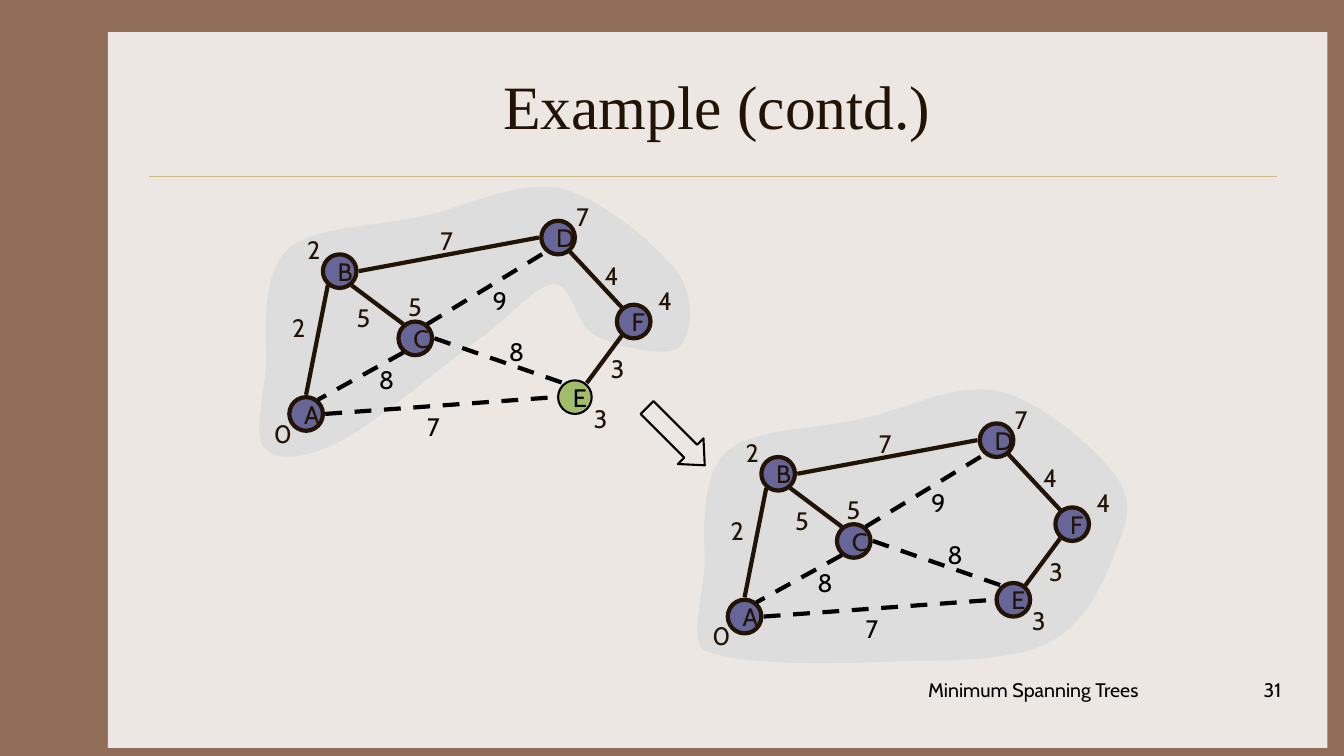
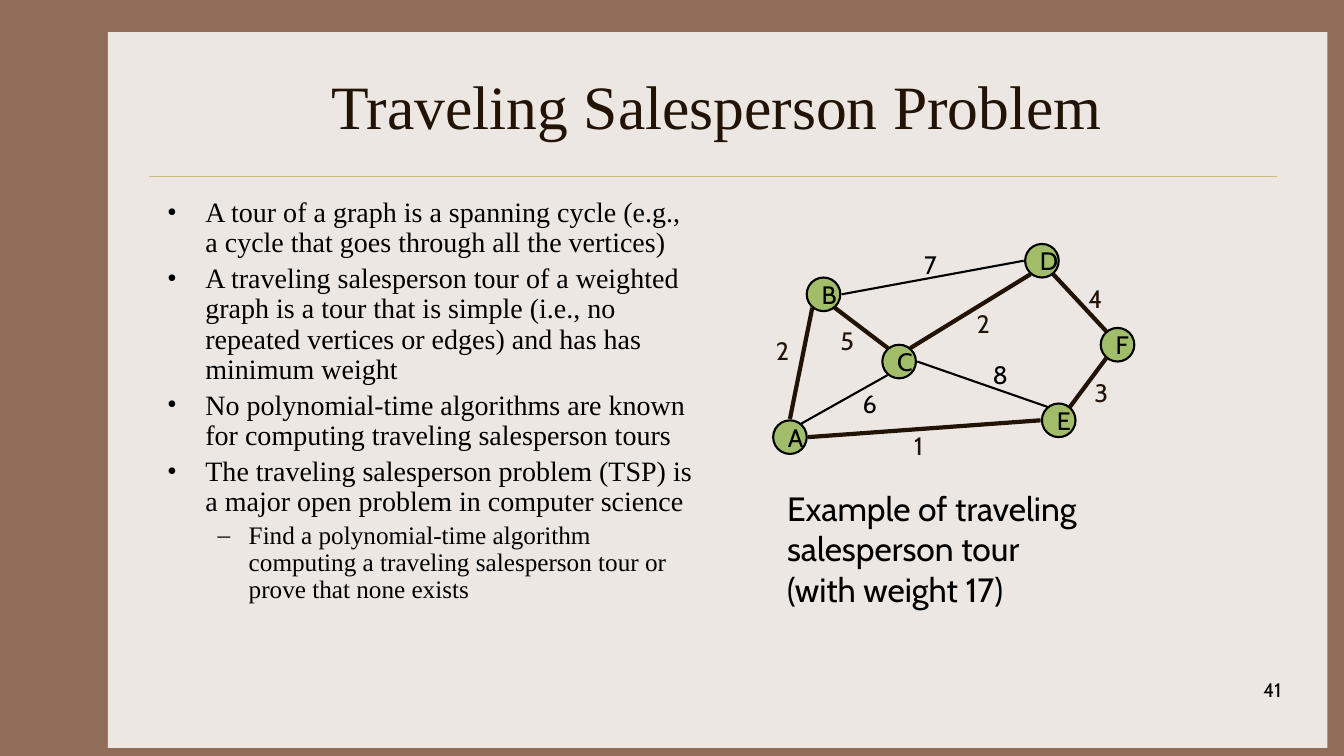
"""Builds two slides on minimum spanning trees and the traveling salesperson problem."""
import lxml.etree
import pptx
import pptx.dml.color
import pptx.enum.dml
import pptx.enum.shapes
import pptx.enum.text
import pptx.oxml.ns
import pptx.util

SERIF, SANS = "Times New Roman", "Cabin"
BROWN, BLACK, PANEL, BACKDROP = "221304", "000000", "EDE7E3", "906D58"
RULE, CLOUD, VIOLET, GREEN = "CBBD83", "DDDDDD", "666699", "A1BD69"

WIDTH, HEIGHT = 40 / 3, 7.5
NODE = 1 / 3
UNIT = NODE / 4
NODES = {"B": (4, 4), "D": (30, 0), "C": (13, 12), "A": (0, 21), "F": (39, 10), "E": (32, 19)}
SIDES = {"n": (0, -1), "nw": (-0.62, -0.74), "w": (-1, 0), "sw": (-0.62, 0.74),
         "se": (0.62, 0.74), "e": (1, 0), "ne": (0.62, -0.74)}
EDGES = {
    "BC": ("se", "nw", 0.57, 0.76),
    "CA": ("sw", "ne", 0.79, 1.38),
    "BA": ("sw", "n", -0.07, 0.86),
    "CE": ("e", "nw", 2.08, 1.1),
    "AE": ("e", "w", 1.27, 1.84),
    "BD": ("e", "w", 1.4, 0),
    "CD": ("ne", "sw", 1.92, 0.59),
    "FD": ("nw", "se", 3.03, 0.34),
    "EF": ("ne", "sw", 3.09, 1.27),
}
DISTANCES = {"A": ("0", -0.25, 1.91), "E": ("3", 2.92, 1.76), "B": ("2", 0.08, 0.09),
             "C": ("5", 1.08, 0.65), "F": ("4", 3.56, 0.59), "D": ("7", 2.75, -0.24)}

CLOUD_START = (-0.23, 1.33)
CLOUD_TOP = [
    ((3.65, 0.25), (3.1, -0.23), (2.68, -0.32)),
    ((2.26, -0.41), (1.75, -0.13), (1.3, -0.04)),
    ((0.86, 0.06), (0.25, 0.05), (-0.01, 0.28)),
    ((-0.26, 0.5), (-0.24, 1.05), CLOUD_START),
]
CLOUD_WITHOUT_E = [
    ((-0.22, 1.61), (-0.37, 2.1), (-0.25, 2.25)),
    ((-0.13, 2.39), (0.15, 2.37), (0.5, 2.19)),
    ((0.86, 2.01), (1.53, 1.43), (1.89, 1.17)),
    ((2.24, 0.91), (2.44, 0.64), (2.63, 0.63)),
    ((2.82, 0.63), (2.83, 1.04), (3.04, 1.14)),
    ((3.24, 1.25), (3.72, 1.36), (3.86, 1.26)),
    ((3.99, 1.15), (4.04, 0.77), (3.85, 0.51)),
]
CLOUD_WITH_E = [
    ((-0.22, 1.61), (-0.38, 2.1), (-0.25, 2.24)),
    ((0.08, 2.42), (1.17, 2.38), (1.75, 2.36)),
    ((2.33, 2.35), (2.86, 2.35), (3.21, 2.16)),
    ((3.56, 1.98), (3.75, 1.53), (3.85, 1.26)),
    ((3.96, 0.98), (4.04, 0.77), (3.84, 0.51)),
]

TREE_WEIGHTS = dict(zip(EDGES, "582877943"))
TREE = {"BC", "BA", "BD", "FD", "EF"}
TOUR_WEIGHTS = dict(zip(EDGES, "562817243"))
TOUR = {"BC", "BA", "AE", "CD", "FD", "EF"}
TREE_STEPS = [((2.87, 2.19), CLOUD_WITHOUT_E, {"E"}), ((7.22, 4.2), CLOUD_WITH_E, set())]
TOUR_ORIGIN = (7.67, 2.42)
TOUR_NUDGES = {"AE": (0.03, -0.04)}

BULLETS = [
    (0, "A tour of a graph is a spanning cycle (e.g., a cycle that goes through all the vertices)"),
    (0, "A traveling salesperson tour of a weighted graph is a tour that is simple (i.e., no "
        "repeated vertices or edges) and has has minimum weight"),
    (0, "No polynomial-time algorithms are known for computing traveling salesperson tours"),
    (0, "The traveling salesperson problem (TSP) is a major open problem in computer science"),
    (1, "Find a polynomial-time algorithm computing a traveling salesperson tour or prove that "
        "none exists"),
]
BULLET_LEVELS = [("•", 0.38, 0.38, 20), ("–", 0.81, 0.31, 18)]
CAPTION = ["Example of traveling\nsalesperson tour", "(with weight 17)"]


def color(value):
    return pptx.dml.color.RGBColor.from_string(value)


def inches(*values):
    return [pptx.util.Inches(value) for value in values]


def paint(shape, fill=None, line=None, width=1.5):
    shape.shadow.inherit = False
    if fill:
        shape.fill.solid()
        shape.fill.fore_color.rgb = color(fill)
    else:
        shape.fill.background()
    if line:
        shape.line.color.rgb = color(line)
        shape.line.width = pptx.util.Pt(width)
    else:
        shape.line.fill.background()


def write(para, text, size, ink, font=SANS, align="LEFT"):
    para.alignment = getattr(pptx.enum.text.PP_ALIGN, align)
    for index, line in enumerate(text.split("\n")):
        if index:
            para.add_line_break()
        span = para.add_run()
        span.text = line
        span.font.name = font
        span.font.size = pptx.util.Pt(size)
        span.font.color.rgb = color(ink)


def add_text(page, place, lines, size=18, ink=BLACK, align="LEFT", wrap=False):
    box = page.shapes.add_textbox(*inches(*place))
    frame = box.text_frame
    frame.word_wrap = wrap
    if not wrap:
        frame.auto_size = pptx.enum.text.MSO_AUTO_SIZE.SHAPE_TO_FIT_TEXT
    for index, line in enumerate(lines):
        para = frame.add_paragraph() if index else frame.paragraphs[0]
        write(para, line, size, ink, align=align)


def add_line(page, start, end, ink, width, dashed=False):
    line = page.shapes.add_connector(
        pptx.enum.shapes.MSO_CONNECTOR.STRAIGHT, *inches(*start, *end))
    line.line.color.rgb = color(ink)
    line.line.width = pptx.util.Pt(width)
    if dashed:
        line.line.dash_style = pptx.enum.dml.MSO_LINE.DASH
    properties = line.element.find(pptx.oxml.ns.qn("p:spPr"))
    lxml.etree.SubElement(properties, pptx.oxml.ns.qn("a:effectLst"))
    return line


def add_cloud(page, origin, curves):
    points = [CLOUD_START] + [point for curve in curves + CLOUD_TOP for point in curve]
    outline = [inches(origin[0] + x, origin[1] + y) for x, y in points]
    builder = page.shapes.build_freeform(*outline[0], scale=1.0)
    builder.add_line_segments(outline[1:], close=True)
    cloud = builder.convert_to_shape()
    paint(cloud, CLOUD)
    segments = list(cloud.element.iter(pptx.oxml.ns.qn("a:lnTo")))
    for first in range(0, len(segments), 3):
        curve = lxml.etree.Element(pptx.oxml.ns.qn("a:cubicBezTo"))
        segments[first].addprevious(curve)
        for segment in segments[first:first + 3]:
            curve.append(segment[0])
            segment.getparent().remove(segment)


def add_graph(page, origin, weights, chosen, green, dashed, nudges):
    left, top = origin
    corners = {name: (left + column * UNIT, top + row * UNIT)
               for name, (column, row) in NODES.items()}
    for name, corner in corners.items():
        fill, ink, width = (GREEN, BLACK, 1.5) if name in green else (VIOLET, BROWN, 3)
        node = page.shapes.add_shape(
            pptx.enum.shapes.MSO_SHAPE.OVAL, *inches(*corner, NODE, NODE))
        paint(node, fill, ink, width)
        node.text_frame.word_wrap = False
        node.text_frame.vertical_anchor = pptx.enum.text.MSO_ANCHOR.MIDDLE
        write(node.text_frame.paragraphs[0], name, 18, ink)
    reach = 0.19 if dashed else 0.18
    for edge, (*sides, x, y) in EDGES.items():
        ends = [[corner + NODE / 2 + reach * share
                 for corner, share in zip(corners[name], SIDES[side])]
                for name, side in zip(edge, sides)]
        heavy = edge in chosen
        ink = BROWN if heavy else BLACK
        add_line(page, *ends, ink, 3 if heavy or dashed else 1.5, dashed and not heavy)
        right, down = nudges.get(edge, (0, 0))
        add_text(page, (left + x + right, top + y + down, 0.34, 0.4), [weights[edge]], ink=ink)


def add_bullets(page, place):
    frame = page.shapes.add_textbox(*inches(*place)).text_frame
    frame.word_wrap = True
    for index, (level, text) in enumerate(BULLETS):
        para = frame.add_paragraph() if index else frame.paragraphs[0]
        mark, margin, hang, size = BULLET_LEVELS[level]
        para.level = level
        para.line_spacing = 0.9
        if index:
            para.space_before = pptx.util.Pt(size * 0.2)
        properties = para._p.get_or_add_pPr()
        properties.set("marL", str(pptx.util.Inches(margin)))
        properties.set("indent", str(-pptx.util.Inches(hang)))
        for tag, key, value in (("a:buFont", "typeface", SERIF), ("a:buChar", "char", mark)):
            lxml.etree.SubElement(properties, pptx.oxml.ns.qn(tag)).set(key, value)
        para.font.name = SERIF
        para.font.size = pptx.util.Pt(size)
        write(para, text, size, BLACK, SERIF)


def furnish_layout(page):
    panel = page.shapes.add_shape(
        pptx.enum.shapes.MSO_SHAPE.RECTANGLE, *inches(1.07, 0.32, 12.1, 7.1))
    paint(panel, PANEL)
    rule = add_line(page, (1.48, 1.75), (12.67, 1.75), RULE, 0.25)
    first = page.slide_layout.placeholders[0].element
    for number, backing in enumerate((panel, rule), 101):
        backing.element.xpath(".//p:cNvPr")[0].set("id", str(number))
        first.addprevious(backing.element)


def add_page(deck, title, number):
    page = deck.slides.add_slide(deck.slide_layouts[5])
    heading = page.shapes.title
    heading.left, heading.top, heading.width, heading.height = inches(1.56, 0.42, 11.11, 1.25)
    heading.text_frame.vertical_anchor = pptx.enum.text.MSO_ANCHOR.MIDDLE
    write(heading.text_frame.paragraphs[0], title, 44, BROWN, SERIF, "CENTER")
    add_text(page, (10.03, 6.68, 2.78, 0.5), [number], 14, align="RIGHT", wrap=True)
    return page


def add_tree_page(deck):
    page = add_page(deck, "Example (contd.)", "31")
    furnish_layout(page)
    add_text(page, (9.11, 6.68, 4.22, 0.5), ["Minimum Spanning Trees"], 14, wrap=True)
    for origin, cloud, green in TREE_STEPS:
        add_cloud(page, origin, cloud)
        add_graph(page, origin, TREE_WEIGHTS, TREE, green, True, {})
        for distance, x, y in DISTANCES.values():
            add_text(page, (origin[0] + x, origin[1] + y, 0.34, 0.4), [distance], ink=BROWN)
    arrow = page.shapes.add_shape(
        pptx.enum.shapes.MSO_SHAPE.RIGHT_ARROW, *inches(6.3, 4.15, 0.81, 0.36))
    arrow.adjustments[0], arrow.adjustments[1] = 0.5, 0.55
    arrow.rotation = 45
    paint(arrow, line=BLACK)


def add_tour_page(deck):
    page = add_page(deck, "Traveling Salesperson Problem", "41")
    add_bullets(page, (1.56, 1.92, 5.44, 4.5))
    add_graph(page, TOUR_ORIGIN, TOUR_WEIGHTS, TOUR, set(NODES), False, TOUR_NUDGES)
    add_text(page, (7.71, 4.79, 3.23, 1.31), CAPTION, 24)


def main():
    deck = pptx.Presentation()
    deck.slide_width, deck.slide_height = inches(WIDTH, HEIGHT)
    backdrop = deck.slide_master.background.fill
    backdrop.solid()
    backdrop.fore_color.rgb = color(BACKDROP)
    add_tree_page(deck)
    add_tour_page(deck)
    deck.save("out.pptx")


if __name__ == "__main__":
    main()
